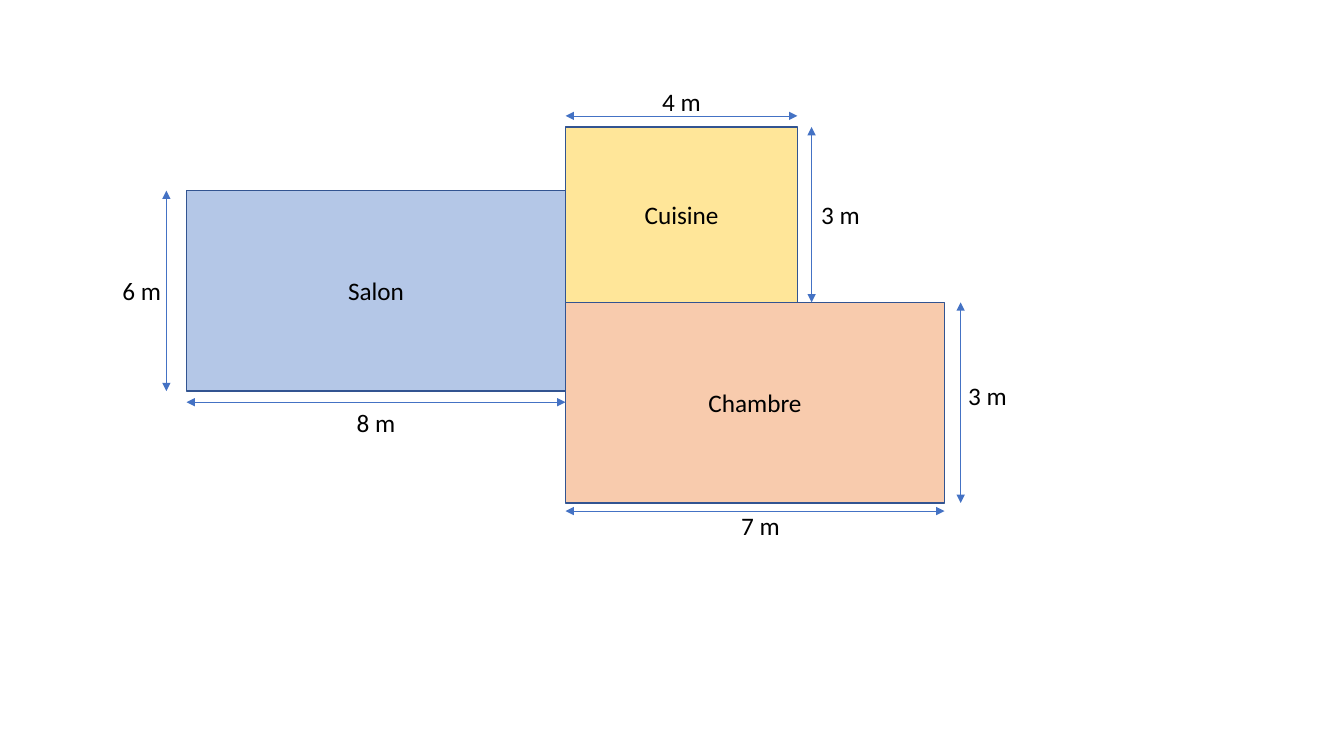
from dataclasses import dataclass

from lxml import etree
from pptx import Presentation
from pptx.dml.color import RGBColor
from pptx.enum.shapes import MSO_CONNECTOR, MSO_SHAPE
from pptx.enum.text import MSO_ANCHOR, MSO_AUTO_SIZE, PP_ALIGN
from pptx.oxml.ns import qn
from pptx.util import Inches, Pt

RECTANGLE = MSO_SHAPE.RECTANGLE
STRAIGHT = MSO_CONNECTOR.STRAIGHT
MIDDLE, TOP = MSO_ANCHOR.MIDDLE, MSO_ANCHOR.TOP
CENTER = PP_ALIGN.CENTER
GROW, FIXED = MSO_AUTO_SIZE.SHAPE_TO_FIT_TEXT, MSO_AUTO_SIZE.NONE


@dataclass(frozen=True)
class Theme:
    """Colours, type and line weights of the plan."""
    font: str = "Calibri"
    size: int = 18
    ink: str = "000000"
    wall: str = "325491"
    arrow: str = "4472C4"
    salon: str = "B4C7E7"
    chambre: str = "F8CBAD"
    cuisine: str = "FFE699"
    wall_width: float = 1
    arrow_width: float = 0.5


@dataclass(frozen=True)
class Box:
    """A rectangle whose inner boxes are given in percent of its size."""
    left: float
    top: float
    width: float
    height: float

    def inner(self, left, top, width, height):
        """Return the inner box at the given percentages."""
        return Box(self.left + self.width * left / 100,
                   self.top + self.height * top / 100,
                   self.width * width / 100, self.height * height / 100)

    def frame(self):
        """Return left, top, width and height as whole EMU."""
        return [round(v) for v in (self.left, self.top, self.width, self.height)]


THEME = Theme()
PLAN = (13.88, 16.8, 56.4, 49.73)
LABEL_SIZE = (5.47, 5.38)
ROOMS = {
    "Salon": ((0, 16.9, 50, 53.35), THEME.salon),
    "Chambre": ((50, 46.65, 50, 53.35), THEME.chambre),
    "Cuisine": ((50, 0, 30.6, 46.65), THEME.cuisine),
}
DIMENSIONS = [
    ("Salon", "bottom", "8 m", 1.47, 4.13, 0),
    ("Salon", "left", "6 m", 1.5, 3.34, 0),
    ("Cuisine", "top", "4 m", 1.47, 3.33, 0),
    ("Cuisine", "right", "3 m", 1.05, 3.19, 0),
    ("Chambre", "right", "3 m", 1.2, 3.19, -0.87),
    ("Chambre", "bottom", "7 m", 1.07, 3.07, 0.41),
]


def write(shape, text, *, anchor=TOP, autosize=FIXED):
    """Write centred text in the theme's type."""
    frame = shape.text_frame
    frame.word_wrap = True
    frame.auto_size = autosize
    frame.vertical_anchor = anchor
    paragraph = frame.paragraphs[0]
    paragraph.alignment = CENTER
    run = paragraph.add_run()
    run.text = text
    run.font.name = THEME.font
    run.font.size = Pt(THEME.size)
    run.font.color.rgb = RGBColor.from_string(THEME.ink)


def stroke(line, color, width):
    """Set the colour and weight of a line."""
    line.color.rgb = RGBColor.from_string(color)
    line.width = Pt(width)


def add_room(slide, box, name, color):
    """Draw one named room filling its box."""
    room = slide.shapes.add_shape(RECTANGLE, *box.frame())
    room.shadow.inherit = False
    room.fill.solid()
    room.fill.fore_color.rgb = RGBColor.from_string(color)
    stroke(room.line, THEME.wall, THEME.wall_width)
    write(room, name, anchor=MIDDLE)


def add_double_arrow(slide, start, end):
    """Draw a line with an arrowhead at both ends."""
    arrow = slide.shapes.add_connector(STRAIGHT, *map(round, start + end))
    stroke(arrow.line, THEME.arrow, THEME.arrow_width)
    properties = arrow._element.spPr
    outline = properties.find(qn("a:ln"))
    for tag in ("a:headEnd", "a:tailEnd"):
        etree.SubElement(outline, qn(tag)).set("type", "triangle")
    etree.SubElement(properties, qn("a:effectLst"))


def add_dimension(slide, page, room, side, text, gap, reach, drift):
    """Measure one side of a room, with offsets in percent of the page."""
    sign = 1 if side in ("right", "bottom") else -1
    width, height = (page.width * LABEL_SIZE[0] / 100,
                     page.height * LABEL_SIZE[1] / 100)
    right, bottom = room.left + room.width, room.top + room.height
    if side in ("top", "bottom"):
        edge = bottom if side == "bottom" else room.top
        y = edge + sign * page.height * gap / 100
        start, end = (room.left, y), (right, y)
        center_x = (room.left + right) / 2 + page.width * drift / 100
        center_y = edge + sign * page.height * reach / 100
    else:
        edge = right if side == "right" else room.left
        x = edge + sign * page.width * gap / 100
        start, end = (x, room.top), (x, bottom)
        center_x = edge + sign * page.width * reach / 100
        center_y = (room.top + bottom) / 2 + page.height * drift / 100
    add_double_arrow(slide, start, end)
    place = Box(center_x - width / 2, center_y - height / 2, width, height)
    write(slide.shapes.add_textbox(*place.frame()), text, autosize=GROW)


def add_floor_plan(slide, page, box):
    """Draw the rooms in the box and their measures around it."""
    places = {name: box.inner(*share) for name, (share, _) in ROOMS.items()}
    for name, (_, color) in ROOMS.items():
        add_room(slide, places[name], name, color)
    for name, *measure in DIMENSIONS:
        add_dimension(slide, page, places[name], *measure)


def main():
    """Build and save the slide."""
    deck = Presentation()
    deck.slide_width, deck.slide_height = Inches(13.33), Inches(7.5)
    slide = deck.slides.add_slide(deck.slide_layouts[6])
    page = Box(0, 0, deck.slide_width, deck.slide_height)
    add_floor_plan(slide, page, page.inner(*PLAN))
    deck.save("out.pptx")


main()
